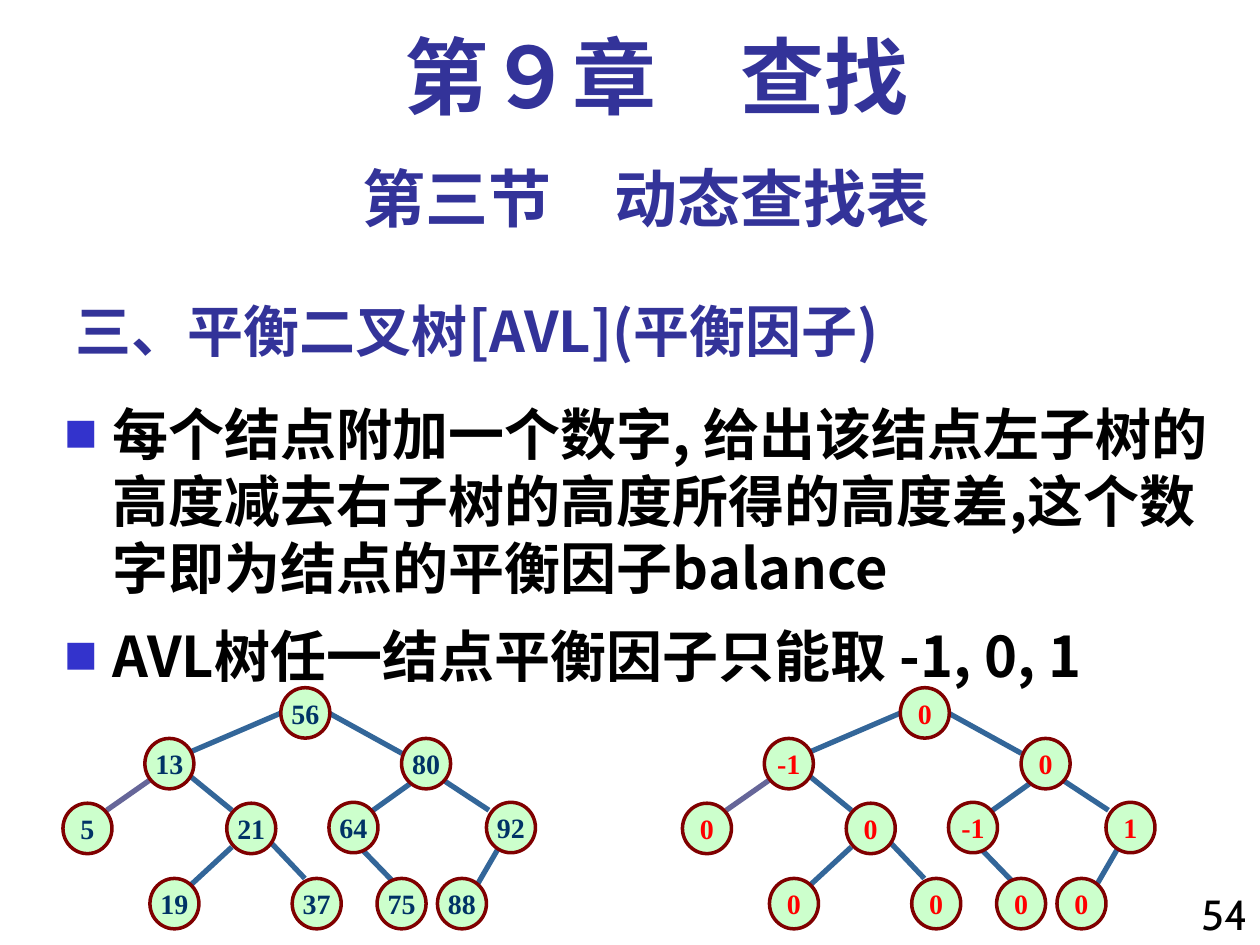
from lxml.etree import SubElement
from pptx import Presentation
from pptx.dml.color import RGBColor as RGB
from pptx.enum.shapes import MSO_CONNECTOR as LINK, MSO_SHAPE as SHAPE
from pptx.enum.text import MSO_ANCHOR as ANCHOR, MSO_AUTO_SIZE as FIT, PP_ALIGN as ALIGN
from pptx.oxml.ns import qn
from pptx.util import Pt

CHAPTER = "第９章\u3000查找"
SECTION = "第三节\u3000动态查找表"
TOPIC = "三、平衡二叉树[AVL](平衡因子)"
POINTS = [
    "每个结点附加一个数字, 给出该结点左子树的高度减去右子树的高度所得的高度差,"
    "这个数字即为结点的平衡因子balance",
    "AVL树任一结点平衡因子只能取 -1, 0, 1",
]
PAGE = "54"

# left, top, key, balance factor
NODES = [
    (160.5, 393, "56", "0"),
    (82.8, 422, "13", "-1"), (229.5, 422, "80", "0"),
    (36, 459, "5", "0"), (129.6, 459, "21", "0"),
    (188, 458.5, "64", "-1"), (278, 458.5, "92", "1"),
    (85.7, 502, "19", "0"), (167, 502, "37", "0"),
    (215.5, 502, "75", "0"), (250, 502, "88", "0"),
]
# start x, start y, end x, end y, colour name
EDGES = [
    (160.5, 407.5, 108, 430, "edge"), (188, 407.5, 229.7, 430.5, "edge"),
    (85.7, 445.7, 61, 463, "pale"), (108, 443, 132.5, 463, "edge"),
    (239.7, 444, 209, 466, "edge"), (254.2, 446.4, 279.4, 463, "edge"),
    (132.5, 484, 102.2, 512, "edge"), (153.4, 480, 174.2, 502, "edge"),
    (201.6, 480, 229.7, 509, "edge"), (291.6, 473, 270.7, 509, "edge"),
]
TREE_STEP = 354
NODE_SIZE = (28, 28.8)

THEME = {
    "head": "333399", "text": "000000", "bullet": "3333CC",
    "edge": "336699", "pale": "666699", "fill": "CCFFCC", "ring": "800000",
    "key": "003366", "factor": "FF0000",
    "hans": "Noto Sans CJK SC", "sans": "Cabin", "serif": "Times New Roman",
    "chapter": 48, "section": 36, "body": 32, "page": 24, "node": 16,
}


def tint(name):
    return RGB.from_string(THEME[name])


def style(para, size, face, color, bold=True, align=ALIGN.LEFT, pitch=None):
    para.alignment = align
    if pitch:
        para.line_spacing = Pt(pitch)
    font = para.font
    font.size, font.bold, font.name = Pt(THEME[size]), bold, THEME[face]
    font.color.rgb = tint(color)
    props = para._p.pPr.find(qn("a:defRPr"))
    SubElement(props, qn("a:ea"), typeface=THEME["hans"])


def bullet(para):
    props = para._p.get_or_add_pPr()
    props.set("marL", str(Pt(27)))
    props.set("indent", str(-Pt(27)))
    color = SubElement(props, qn("a:buClr"))
    SubElement(color, qn("a:srgbClr"), val=THEME["bullet"])
    SubElement(props, qn("a:buSzPct"), val="60000")
    SubElement(props, qn("a:buFont"), typeface=THEME["hans"])
    SubElement(props, qn("a:buChar"), char="■")


def place(shape, left, top, width, height):
    shape.left, shape.top = Pt(left), Pt(top)
    shape.width, shape.height = Pt(width), Pt(height)


def add_box(slide, box, text, *look, **more):
    frame = slide.shapes.add_textbox(*map(Pt, box)).text_frame
    frame.word_wrap = True
    frame.text = text
    style(frame.paragraphs[0], *look, **more)


def add_title(slide):
    title = slide.shapes.title
    place(title, 36, 156, 492, 54)
    frame = title.text_frame
    frame.text = TOPIC
    frame.auto_size, frame.word_wrap = FIT.NONE, True
    frame.vertical_anchor = ANCHOR.BOTTOM
    frame.margin_bottom = Pt(2)
    style(frame.paragraphs[0], "body", "hans", "head", pitch=38)


def add_points(slide):
    frame = slide.shapes.add_textbox(Pt(30), Pt(222), Pt(690), Pt(318)).text_frame
    frame.word_wrap = True
    frame.margin_top = Pt(6.4)
    for num, text in enumerate(POINTS):
        para = frame.add_paragraph() if num else frame.paragraphs[0]
        para.text = text
        bullet(para)
        if num:
            para.space_before = Pt(12)
        style(para, "body", "hans", "text", pitch=38.25)


def add_edge(group, shift, x1, y1, x2, y2, color):
    line = group.shapes.add_connector(
        LINK.STRAIGHT, Pt(x1 + shift), Pt(y1), Pt(x2 + shift), Pt(y2))
    line.line.color.rgb = tint(color)
    line.line.width = Pt(3)
    SubElement(line._element.spPr, qn("a:effectLst"))


def add_node(group, left, top, label, color):
    node = group.shapes.add_shape(SHAPE.OVAL, *map(Pt, (left, top, *NODE_SIZE)))
    node.shadow.inherit = False
    node.fill.solid()
    node.fill.fore_color.rgb = tint("fill")
    node.line.color.rgb = tint("ring")
    node.line.width = Pt(2)
    frame = node.text_frame
    frame.text = label
    frame.word_wrap = False
    frame.vertical_anchor = ANCHOR.MIDDLE
    style(frame.paragraphs[0], "node", "serif", color, align=ALIGN.CENTER)


def add_tree(slide, shift, color):
    group = slide.shapes.add_group_shape()
    for edge in EDGES:
        add_edge(group, shift, *edge)
    for left, top, key, factor in NODES:
        label = key if color == "key" else factor
        add_node(group, left + shift, top, label, color)


def main():
    deck = Presentation()
    deck.slide_width, deck.slide_height = Pt(720), Pt(540)
    slide = deck.slides.add_slide(deck.slide_layouts[5])
    add_title(slide)
    add_box(slide, (672, 504, 48, 42), PAGE, "page", "sans", "text",
            bold=False, align=ALIGN.RIGHT)
    add_box(slide, (36, 84, 666, 50), SECTION, "section", "sans", "head",
            align=ALIGN.CENTER, pitch=47)
    add_points(slide)
    add_box(slide, (48, 12, 654, 60), CHAPTER, "chapter", "serif", "head",
            align=ALIGN.CENTER, pitch=56)
    for num, color in enumerate(("key", "factor")):
        add_tree(slide, num * TREE_STEP, color)
    deck.save("out.pptx")


if __name__ == "__main__":
    main()
